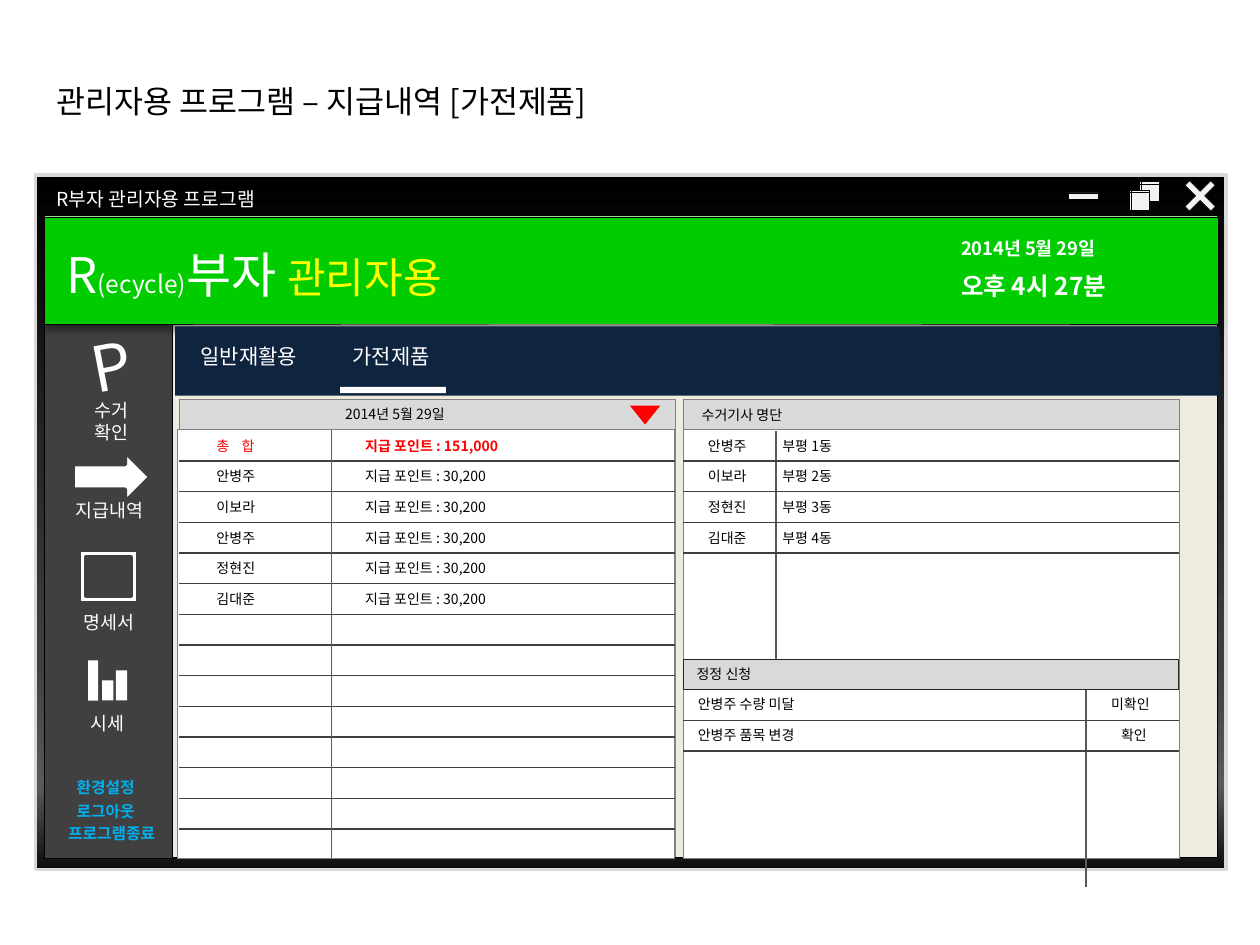
"""Build the payment history screen of an administrator program."""
from dataclasses import dataclass
from typing import Optional

from lxml import etree
from pptx import Presentation
from pptx.dml.color import RGBColor
from pptx.enum.shapes import MSO_CONNECTOR, MSO_SHAPE
from pptx.enum.text import MSO_AUTO_SIZE, PP_ALIGN
from pptx.oxml import parse_xml
from pptx.oxml.ns import nsdecls, qn
from pptx.util import Inches, Pt

RECT, FRAME, TIMES = MSO_SHAPE.RECTANGLE, MSO_SHAPE.FRAME, MSO_SHAPE.MATH_MULTIPLY
PAGES, TRIANGLE = MSO_SHAPE.FLOWCHART_INTERNAL_STORAGE, MSO_SHAPE.FLOWCHART_EXTRACT
ARROW, STRAIGHT = MSO_SHAPE.STRIPED_RIGHT_ARROW, MSO_CONNECTOR.STRAIGHT
LEFT, CENTER = PP_ALIGN.LEFT, PP_ALIGN.CENTER
FIT = MSO_AUTO_SIZE.SHAPE_TO_FIT_TEXT

FONT = "Noto Sans CJK KR"
BLACK = RGBColor(0x00, 0x00, 0x00)
WHITE = RGBColor(0xFF, 0xFF, 0xFF)
RED = RGBColor(0xFF, 0x00, 0x00)
YELLOW = RGBColor(0xFF, 0xFF, 0x00)
GREEN = RGBColor(0x00, 0xCC, 0x00)
SKY = RGBColor(0x00, 0xB0, 0xF0)
NAVY = RGBColor(0x0F, 0x24, 0x3E)
CREAM = RGBColor(0xEE, 0xEC, 0xE1)
PALE = RGBColor(0xF2, 0xF2, 0xF2)
SILVER = RGBColor(0xD9, 0xD9, 0xD9)
GRAY = RGBColor(0x80, 0x80, 0x80)
DIM = RGBColor(0x59, 0x59, 0x59)
DARK = RGBColor(0x40, 0x40, 0x40)
INK = RGBColor(0x26, 0x26, 0x26)
WINDOW_STOPS = ((0, BLACK), (40, INK), (70, DARK), (88, DIM), (100, RGBColor(0x0D, 0x0D, 0x0D)))

LIST_LEFT, SIDE_LEFT, PANEL_WIDTH = 1.42, 5.42, 3.94
ROW, FIRST_ROW, FIRST_RULE, REQUEST_TOP = (6.58 - 3.66) / 12, 3.42, 3.66, 5.23
PAYMENT_TABS, DRIVER_TABS = (0.2, 0.4, 1.38), (0.59,)


@dataclass
class Span:
    """A run of text with its format."""
    text: str
    size: float = 8
    color: RGBColor = BLACK
    bold: Optional[bool] = None


@dataclass
class Block:
    """A preset shape with its place and paint."""
    kind: int
    left: float
    top: float
    width: float
    height: float
    fill: RGBColor
    line: Optional[RGBColor] = None
    weight: float = 0.25


def add_block(page, block: Block):
    """Draw a preset shape."""
    shape = page.shapes.add_shape(block.kind, Inches(block.left), Inches(block.top),
                                  Inches(block.width), Inches(block.height))
    shape.shadow.inherit = False
    shape.fill.solid()
    shape.fill.fore_color.rgb = block.fill
    if block.line is None:
        shape.line.fill.background()
    else:
        shape.line.color.rgb = block.line
        shape.line.width = Pt(block.weight)
    return shape


def add_rule(page, left: float, top: float, right: float, bottom: float, color: RGBColor = DARK):
    """Draw a thin straight line."""
    rule = page.shapes.add_connector(STRAIGHT, Inches(left), Inches(top), Inches(right), Inches(bottom))
    rule.line.color.rgb = color
    rule.line.width = Pt(0.75)
    etree.SubElement(rule._element.spPr, qn("a:effectLst"))


def add_text(page, left: float, top: float, width: float, height: float, *lines: list[Span],
             align=LEFT, tabs: tuple[float, ...] = (), gap: float = 0):
    """Write one paragraph for each list of spans."""
    box = page.shapes.add_textbox(Inches(left), Inches(top), Inches(width), Inches(height))
    frame = box.text_frame
    frame.word_wrap, frame.auto_size = True, FIT
    for index, spans in enumerate(lines):
        para = frame.add_paragraph() if index else frame.paragraphs[0]
        para.alignment = align
        if index and gap:
            para.space_before = Pt(gap)
        if tabs:
            stops = etree.SubElement(para._p.get_or_add_pPr(), qn("a:tabLst"))
            for stop in tabs:
                etree.SubElement(stops, qn("a:tab"), pos=str(int(Inches(stop))), algn="l")
        for span in spans:
            run = para.add_run()
            run.text = span.text
            look = {"size": Pt(span.size), "bold": span.bold, "name": FONT}
            run.font.color.rgb = span.color
            for name, value in look.items():
                setattr(run.font, name, value)
            etree.SubElement(run._r.get_or_add_rPr(), qn("a:ea"), typeface=FONT)
    return box


def draw_window(page):
    """Draw the window with its title bar and green banner."""
    window = add_block(page, Block(RECT, 0.28, 1.39, 9.45, 5.51, SILVER, SILVER, 2))
    stops = "".join(f'<a:gs pos="{place * 1000}"><a:srgbClr val="{color}"/></a:gs>'
                    for place, color in WINDOW_STOPS)
    properties = window._element.spPr
    properties.replace(properties.find(qn("a:solidFill")), parse_xml(
        f'<a:gradFill {nsdecls("a")}><a:gsLst>{stops}</a:gsLst><a:lin ang="5400000" scaled="0"/></a:gradFill>'))
    add_block(page, Block(RECT, 0.35, 1.71, 9.31, 5.1, CREAM, BLACK, 0.5))
    add_block(page, Block(RECT, 8.48, 1.53, 0.24, 0.05, PALE, BLACK))
    for left, top in ((9.04, 1.44), (8.96, 1.51)):
        add_block(page, Block(PAGES, left, top, 0.16, 0.16, PALE, BLACK))
    close = add_block(page, Block(TIMES, 9.33, 1.36, 0.39, 0.39, PALE, BLACK))
    close.adjustments[0] = 0.128
    add_text(page, 0.35, 1.44, 3.15, 0.29, [Span("R부자 관리자용 프로그램", 11, WHITE)])
    add_block(page, Block(RECT, 0.35, 2.57, 1.02, 4.24, DARK, BLACK))
    banner = add_block(page, Block(RECT, 0.35, 1.72, 9.32, 0.85, GREEN, BLACK))
    banner._element.spPr.find(qn("a:effectLst")).append(parse_xml(
        f'<a:outerShdw {nsdecls("a")} blurRad="{Pt(4)}" dist="{Pt(3)}" dir="5400000" rotWithShape="0">'
        f'<a:srgbClr val="{BLACK}"><a:alpha val="40000"/></a:srgbClr></a:outerShdw>'))
    add_text(page, 0.43, 1.89, 5.04, 0.57, [Span("R", 28, WHITE), Span("(ecycle)", 14, WHITE),
                                            Span("부자 ", 28, WHITE), Span("관리자용", 24, YELLOW)])
    add_text(page, 7.53, 1.83, 1.61, 0.61, [Span("2014년 5월 29일", 10.5, WHITE, True)],
             [Span("오후 4시 27분", 14, WHITE, True)], gap=7)


def draw_payments(page):
    """Draw the list of paid points."""
    add_block(page, Block(RECT, LIST_LEFT, 3.17, PANEL_WIDTH, 3.63, SILVER, GRAY))
    add_block(page, Block(RECT, 1.41, 3.41, PANEL_WIDTH, 3.4, WHITE, GRAY))
    for index in range(13):
        top = FIRST_RULE + index * ROW
        add_rule(page, LIST_LEFT, top, LIST_LEFT + PANEL_WIDTH, top)
    add_rule(page, 2.63, 6.81, 2.63, 3.41, DIM)
    add_text(page, 2.64, 3.17, 2.28, 0.24, [Span("2014년 5월 29일")])
    marker = add_block(page, Block(TRIANGLE, 5, 3.22, 0.24, 0.15, RED))
    marker._element.spPr.find(qn("a:xfrm")).set("flipV", "1")
    rows = [[Span("\t총\t합\t", color=RED), Span("지급 포인트 : 151,000", color=RED, bold=True)]]
    rows += [[Span(f"\t{name}\t지급 포인트 : 30,200")]
             for name in ("안병주", "이보라", "안병주", "정현진", "김대준")]
    for index, spans in enumerate(rows):
        add_text(page, LIST_LEFT, FIRST_ROW + index * ROW, PANEL_WIDTH, 0.24, spans, tabs=PAYMENT_TABS)


def draw_drivers_and_requests(page):
    """Draw the driver list and the correction requests."""
    right = SIDE_LEFT + PANEL_WIDTH
    add_block(page, Block(RECT, SIDE_LEFT, 3.17, PANEL_WIDTH, 3.63, SILVER, GRAY))
    add_block(page, Block(RECT, SIDE_LEFT, 3.41, PANEL_WIDTH, 3.4, WHITE, GRAY))
    add_text(page, 5.47, 3.18, 2.28, 0.24, [Span("수거기사 명단")])
    add_rule(page, 6.16, REQUEST_TOP, 6.16, FIRST_ROW, DIM)
    for index, name in enumerate(("안병주", "이보라", "정현진", "김대준")):
        shift = index * ROW
        add_text(page, 5.52, FIRST_ROW + shift, 2.28, 0.24,
                 [Span(f"{name}\t부평 {index + 1}동")], tabs=DRIVER_TABS)
        add_rule(page, SIDE_LEFT, FIRST_RULE + shift, right, FIRST_RULE + shift)
    add_rule(page, 8.62, 7.04, 8.62, REQUEST_TOP, DIM)
    add_block(page, Block(RECT, SIDE_LEFT, REQUEST_TOP, 3.93, 0.24, SILVER, INK))
    add_text(page, 5.43, REQUEST_TOP, 2.28, 0.24, [Span("정정 신청")])
    requests = (("안병주 수량 미달", "미확인", LEFT), ("안병주 품목 변경", "확인", CENTER))
    for index, (request, state, align) in enumerate(requests, 1):
        top = REQUEST_TOP + index * ROW
        add_text(page, 5.44, top, 2.28, 0.24, [Span(request)])
        add_text(page, 8.72, top, 0.56, 0.24, [Span(state)], align=align)
        add_rule(page, SIDE_LEFT, top + ROW, right, top + ROW)


def draw_menus(page):
    """Draw the sidebar menu and the tab bar."""
    for left, top, width, text, align in ((0.51, 6.12, 0.73, "환경설정", LEFT),
                                          (0.51, 6.31, 0.73, "로그아웃", LEFT),
                                          (0.35, 6.49, 1.07, "프로그램종료", CENTER)):
        add_text(page, left, top, width, 0.25, [Span(text, 9, SKY, True)], align=align)
    letter = add_text(page, 0.63, 2.54, 0.58, 0.71, [Span("P", 36, WHITE)])
    letter.rotation = 349
    add_block(page, Block(ARROW, 0.52, 3.59, 0.67, 0.39, WHITE, DARK, 2))
    add_block(page, Block(FRAME, 0.63, 4.37, 0.46, 0.41, WHITE, DARK, 2))
    for left, width, height in ((0.7, 0.08, 0.32), (0.81, 0.09, 0.16), (0.92, 0.09, 0.24)):
        add_block(page, Block(RECT, left, 5.56 - height, width, height, WHITE))
    for left, top, width, height, *labels in ((0.53, 3.12, 0.71, 0.45, "수거", "확인"),
                                              (0.4, 3.91, 0.94, 0.28, "지급내역"),
                                              (0.51, 4.8, 0.71, 0.28, "명세서"),
                                              (0.5, 5.6, 0.71, 0.28, "시세")):
        add_text(page, left, top, width, height,
                 *([Span(label, 10.5, WHITE)] for label in labels), align=CENTER)
    add_block(page, Block(RECT, 1.39, 2.59, 8.29, 0.55, NAVY))
    add_block(page, Block(RECT, 2.7, 3.07, 0.84, 0.05, WHITE))
    for left, width, label in ((1.42, 1.11, "일반재활용"), (2.47, 1.27, "가전제품")):
        add_text(page, left, 2.68, width, 0.3, [Span(label, 12, WHITE)], align=CENTER)


def main():
    """Build and save the deck."""
    deck = Presentation()
    deck.slide_width, deck.slide_height = Inches(10), Inches(7.5)
    page = deck.slides.add_slide(deck.slide_layouts[6])
    add_text(page, 0.35, 0.6, 5.12, 0.4, [Span("관리자용 프로그램 – 지급내역 [가전제품]", 18)])
    for draw in (draw_window, draw_payments, draw_drivers_and_requests, draw_menus):
        draw(page)
    deck.save("out.pptx")


if __name__ == "__main__":
    main()
